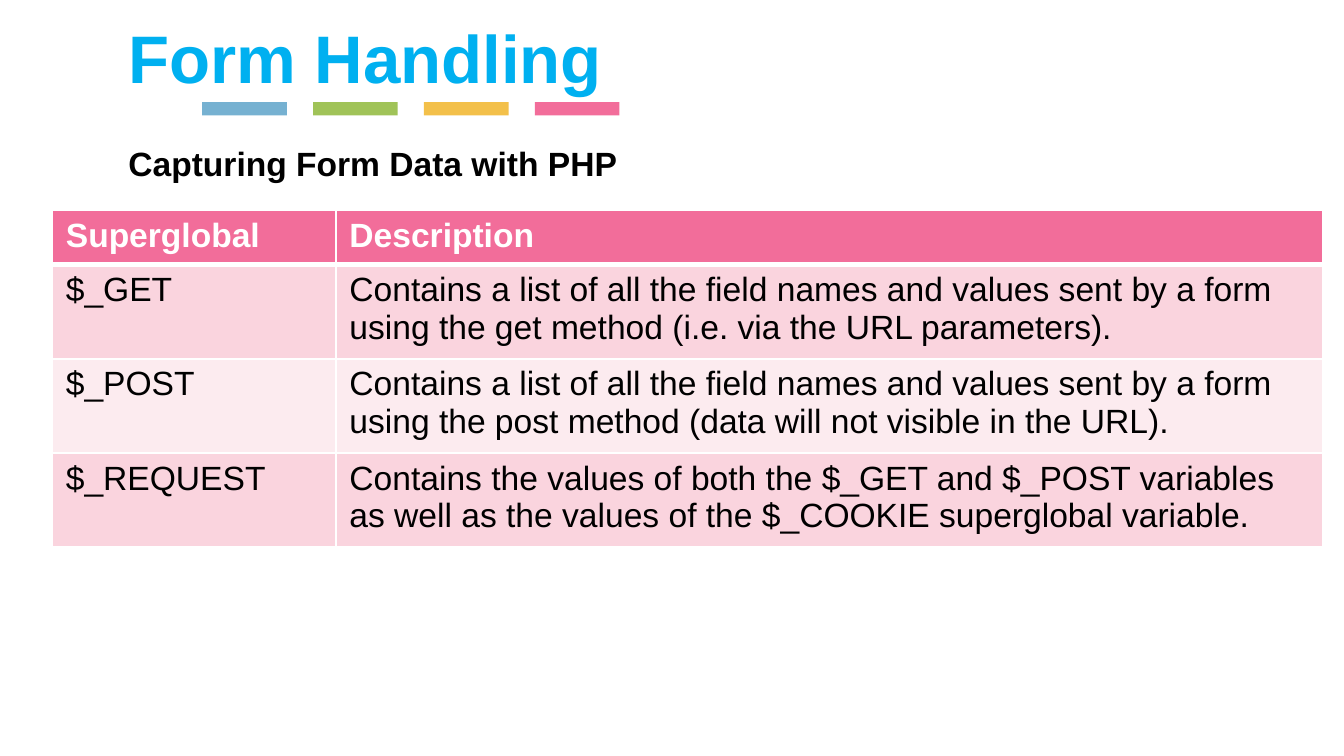
from dataclasses import dataclass

from lxml.etree import SubElement
from pptx import Presentation
from pptx.dml.color import RGBColor
from pptx.enum.shapes import MSO_SHAPE
from pptx.enum.text import MSO_ANCHOR, MSO_AUTO_SIZE, PP_ALIGN
from pptx.oxml.ns import qn
from pptx.util import Pt

PX = 4572  # EMU in one px, at 200 px to the inch


@dataclass(frozen=True)
class Theme:
    font: str = "Arial"
    title: str = "00B0F0"
    ink: str = "000000"
    white: str = "FFFFFF"
    head: str = "F26D9A"
    bands: tuple = ("FAD4DE", "FCEBEF")
    bars: tuple = ("76B1D1", "A0C358", "F3C04A", "F26D9A")
    big: int = 36
    base: int = 18


class Deck:
    def __init__(self, theme, wide, high):
        self.theme = theme
        self.file = Presentation()
        self.file.slide_width, self.file.slide_height = wide * PX, high * PX
        self.slide = self.file.slides.add_slide(self.file.slide_layouts[1])

    def style(self, para, size, color, bold=False):
        font = para.font
        font.name, font.size, font.bold = self.theme.font, Pt(size), bold
        font.color.rgb = RGBColor.from_string(color)

    def holder(self, index, text, box, size, color, anchor):
        """Move a template placeholder and fill it with one bold line."""
        shape = self.slide.placeholders[index]
        shape.left, shape.top, shape.width, shape.height = (n * PX for n in box)
        frame = shape.text_frame
        frame.text = text
        frame.word_wrap = True
        frame.auto_size = MSO_AUTO_SIZE.NONE
        frame.vertical_anchor = anchor
        para = frame.paragraphs[0]
        para.alignment = PP_ALIGN.LEFT
        para.space_before = Pt(0)
        props = para._p.get_or_add_pPr()
        props.set("marL", "0")
        props.set("indent", "0")
        SubElement(props, qn("a:buNone"))
        self.style(para, size, color, True)

    def bar(self, left, top, wide, high, color):
        shape = self.slide.shapes.add_shape(
            MSO_SHAPE.RECTANGLE, left * PX, top * PX, wide * PX, high * PX)
        shape.shadow.inherit = False
        shape.fill.solid()
        shape.fill.fore_color.rgb = RGBColor.from_string(color)
        shape.line.fill.background()

    def edge(self, cell, side, width):
        line = SubElement(cell._tc.get_or_add_tcPr(), qn(f"a:{side}"),
                          w=str(Pt(width)))
        fill = SubElement(line, qn("a:solidFill"))
        SubElement(fill, qn("a:srgbClr"), val=self.theme.white)

    def cell(self, cell, text, fill, color, head, top, bottom):
        cell.text = text
        self.style(cell.text_frame.paragraphs[0], self.theme.base, color, head)
        # Borders must come before the fill in the cell properties
        for side, width in zip(("lnL", "lnR", "lnT", "lnB"), (1, 1, top, bottom)):
            self.edge(cell, side, width)
        cell.fill.solid()
        cell.fill.fore_color.rgb = RGBColor.from_string(fill)

    def table(self, left, top, cols, highs, rows):
        look = self.theme
        grid = self.slide.shapes.add_table(
            len(rows), len(cols), left * PX, top * PX,
            sum(cols) * PX, sum(highs) * PX).table
        for col, wide in zip(grid.columns, cols):
            col.width = wide * PX
        for r, (row, high) in enumerate(zip(rows, highs)):
            grid.rows[r].height = high * PX
            head = r == 0
            fill = look.head if head else look.bands[(r - 1) % 2]
            color = look.white if head else look.ink
            for c, text in enumerate(row):
                self.cell(grid.cell(r, c), text, fill, color, head,
                          3 if r == 1 else 1, 3 if head else 1)


ROWS = (
    ("Superglobal", "Description"),
    ("$_GET", "Contains a list of all the field names and values sent by a form "
     "using the get method (i.e. via the URL parameters)."),
    ("$_POST", "Contains a list of all the field names and values sent by a form "
     "using the post method (data will not visible in the URL)."),
    ("$_REQUEST", "Contains the values of both the $_GET and $_POST variables "
     "as well as the values of the $_COOKIE superglobal variable."),
)


def main():
    look = Theme()
    deck = Deck(look, 2000, 1125)
    for i, color in enumerate(look.bars):
        deck.bar(301 + 165 * i, 152, 126, 20, color)
    deck.holder(0, "Form Handling", (171, 0, 2000, 170),
                look.big, look.title, MSO_ANCHOR.MIDDLE)
    deck.holder(1, "Capturing Form Data with PHP", (171, 203, 1718, 202),
                look.base, look.ink, MSO_ANCHOR.TOP)
    deck.table(78, 313, (422, 1468), (81, 140, 140, 140), ROWS)
    deck.file.save("out.pptx")


if __name__ == "__main__":
    main()
